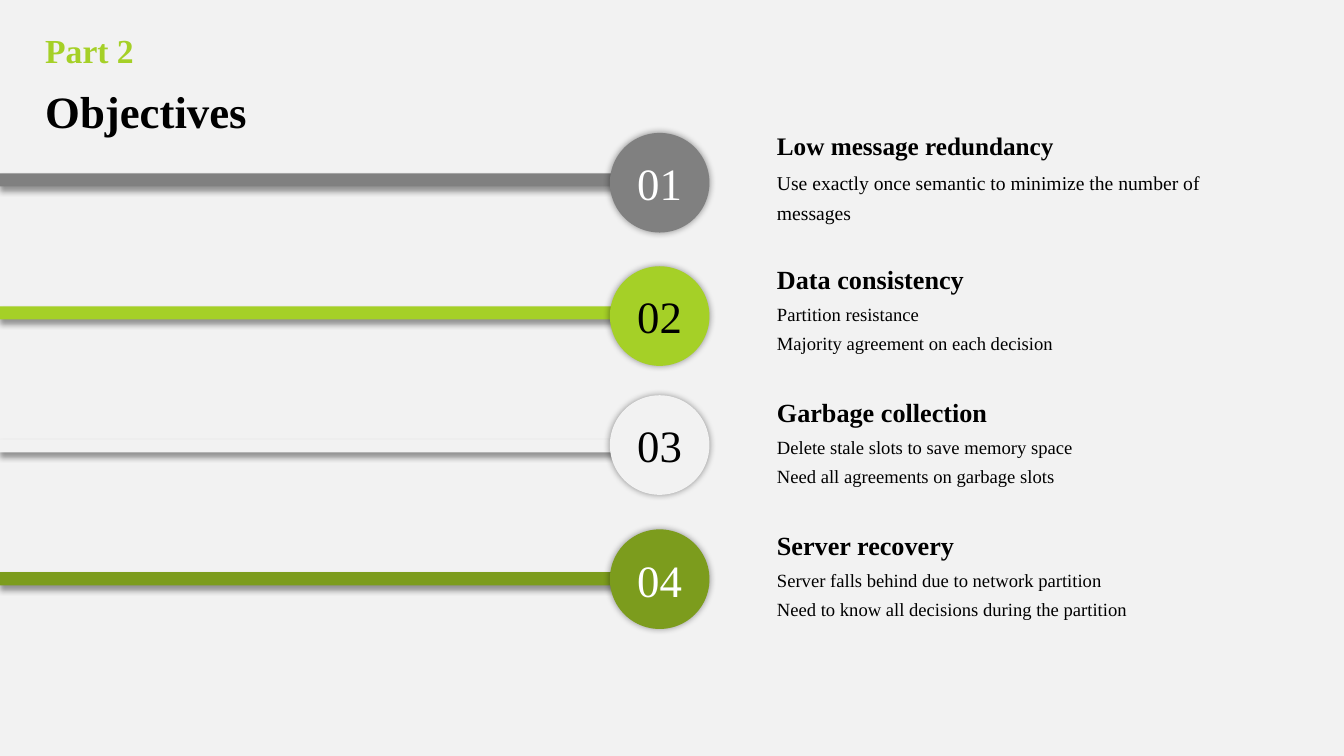
from lxml import etree
from pptx import Presentation
from pptx import util as u
from pptx.dml.color import RGBColor
from pptx.enum import shapes, text
from pptx.oxml import ns

FONT = "Times New Roman"
COLOURS = {
    "paper": "F2F2F2",
    "black": "000000",
    "white": "FFFFFF",
    "grey": "808080",
    "lime": "A5D027",
    "olive": "7C9C1D",
}

# Layout in centimetres
ROW_PITCH = 3.35
BAR_TOP = 4.37
HEADING_TOP = 2.92
DETAIL_TOP = 3.99
TEXT_LEFT = 19.33

# Fill, number colour, circle top, heading, heading width, heading size,
# detail lines, detail size
OBJECTIVES = [
    ("grey", "white", 3.35, "Low message redundancy", 7.57, 18,
     ["Use exactly once semantic to minimize the number of messages"], 14),
    ("lime", "black", 6.71, "Data consistency", 5.26, 18.7,
     ["Partition resistance", "Majority agreement on each decision"], 13.3),
    ("paper", "black", 9.96, "Garbage collection", 5.84, 18.7,
     ["Delete stale slots to save memory space",
      "Need all agreements on garbage slots"], 13.3),
    ("olive", "white", 13.34, "Server recovery", 5.03, 18.7,
     ["Server falls behind due to network partition",
      "Need to know all decisions during the partition"], 13.3),
]


def colour(name):
    return RGBColor.from_string(COLOURS[name])


def write(frame, lines, size, ink="black", bold=False, spacing=1.0,
          align=text.PP_ALIGN.LEFT):
    """Fill a text frame with one paragraph per line."""
    for index, line in enumerate(lines):
        para = frame.paragraphs[0] if index == 0 else frame.add_paragraph()
        para.alignment = align
        para.line_spacing = spacing
        span = para.add_run()
        span.text = line
        span.font.name = FONT
        span.font.size = u.Pt(size)
        span.font.bold = bold
        span.font.color.rgb = colour(ink)


def add_text(page, left, top, width, height, lines, wrap=True, grow=False,
             inset=0.13, **style):
    box = page.shapes.add_textbox(u.Cm(left), u.Cm(top), u.Cm(width), u.Cm(height))
    frame = box.text_frame
    frame.word_wrap = wrap
    frame.margin_top = u.Cm(inset)
    if grow:
        frame.auto_size = text.MSO_AUTO_SIZE.SHAPE_TO_FIT_TEXT
    write(frame, lines, **style)


def add_shadow(shape, blur, distance, angle):
    """Cast a black outer shadow at 40 % opacity."""
    shape.shadow.inherit = False
    effects = shape.element.spPr.find(ns.qn("a:effectLst"))
    shadow = etree.SubElement(
        effects, ns.qn("a:outerShdw"), blurRad=str(u.Pt(blur)),
        dist=str(u.Pt(distance)), dir=str(angle * 60000), rotWithShape="0")
    tint = etree.SubElement(shadow, ns.qn("a:srgbClr"), val=COLOURS["black"])
    etree.SubElement(tint, ns.qn("a:alpha"), val="40000")


def add_solid(page, kind, left, top, width, height, fill, shadow):
    shape = page.shapes.add_shape(
        kind, u.Cm(left), u.Cm(top), u.Cm(width), u.Cm(height))
    shape.fill.solid()
    shape.fill.fore_color.rgb = colour(fill)
    shape.line.fill.background()
    add_shadow(shape, *shadow)
    return shape


def add_bar(page, row, fill):
    add_solid(page, shapes.MSO_SHAPE.RECTANGLE, 0, BAR_TOP + row * ROW_PITCH,
              16.05, 0.33, fill, shadow=(4, 3, 90))


def add_number(page, row, top, fill, ink):
    circle = add_solid(page, shapes.MSO_SHAPE.OVAL, 15.37, top, 2.51, 2.51,
                       fill, shadow=(5, 0, 0))
    circle.text_frame.vertical_anchor = text.MSO_ANCHOR.MIDDLE
    write(circle.text_frame, [f"{row + 1:02}"], size=32, ink=ink,
          align=text.PP_ALIGN.CENTER)


def main():
    deck = Presentation()
    deck.slide_width, deck.slide_height = u.Cm(33.87), u.Cm(19.05)
    page = deck.slides.add_slide(deck.slide_layouts[6])
    page.background.fill.solid()
    page.background.fill.fore_color.rgb = colour("paper")

    # Titles
    add_text(page, 0.89, 0.71, 9.75, 1.17, ["Part 2"], inset=0.16,
             size=24, ink="lime", bold=True, spacing=0.9)
    add_text(page, 0.89, 1.88, 9.75, 1.47, ["Objectives"], inset=0.22,
             size=32, bold=True)

    # Bars, lowest row at the back
    for row in reversed(range(len(OBJECTIVES))):
        add_bar(page, row, OBJECTIVES[row][0])

    # Numbered circles with their texts
    for row, objective in enumerate(OBJECTIVES):
        fill, ink, top, heading, width, heading_size, details, size = objective
        add_number(page, row, top, fill, ink)
        offset = row * ROW_PITCH
        add_text(page, TEXT_LEFT, DETAIL_TOP + offset, 11.23, 1.7, details,
                 grow=True, size=size, spacing=1.3)
        add_text(page, TEXT_LEFT, HEADING_TOP + offset, width, 1.18, [heading],
                 wrap=False, grow=True, size=heading_size, bold=True, spacing=1.3)

    deck.save("out.pptx")


if __name__ == "__main__":
    main()
